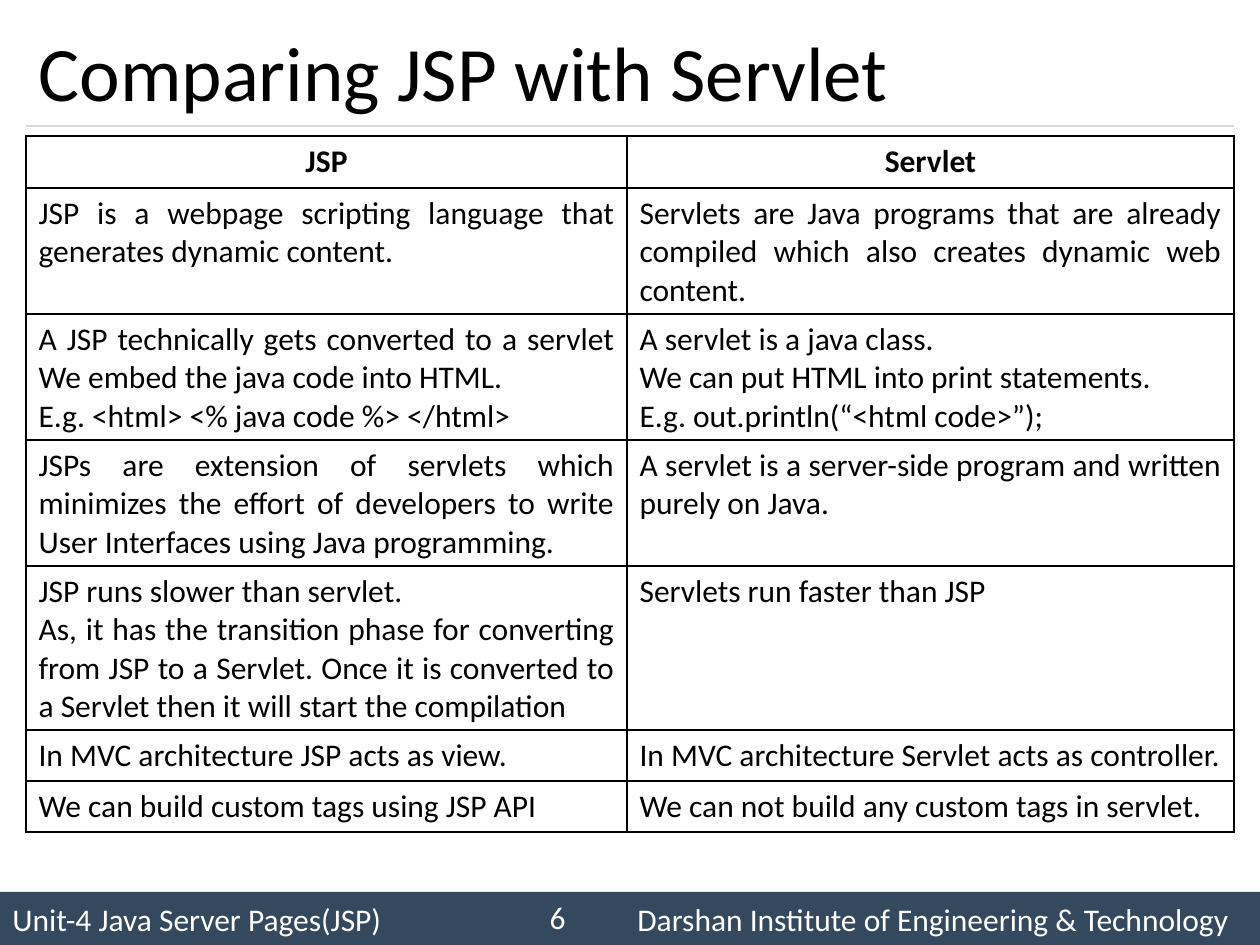
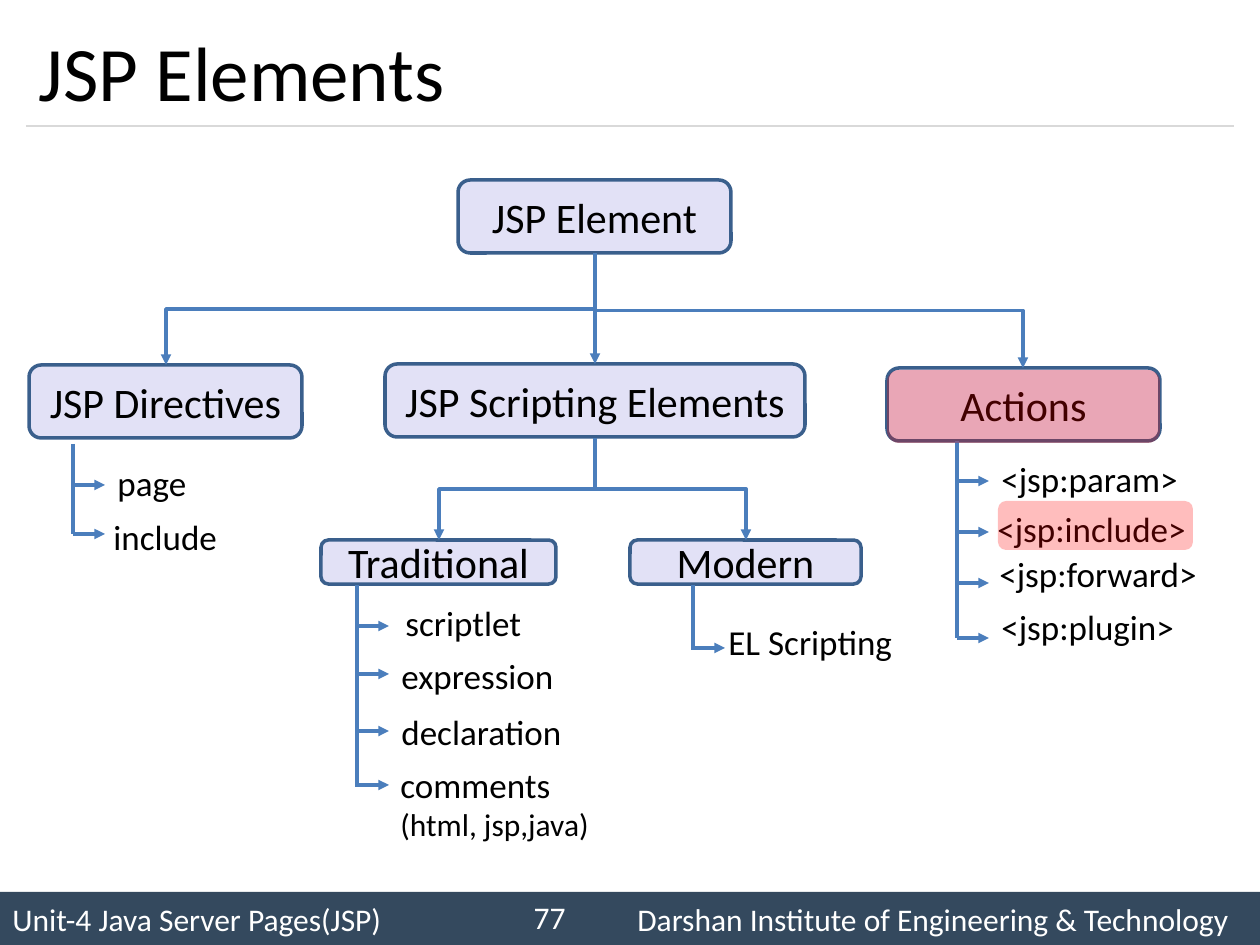
from lxml.etree import SubElement
from pptx import Presentation
from pptx.dml.color import RGBColor as RGB
from pptx.enum.shapes import MSO_CONNECTOR as LINK, MSO_SHAPE as SHAPE
from pptx.enum.text import MSO_ANCHOR as ANCHOR, MSO_AUTO_SIZE as FIT, PP_ALIGN as ALIGN
from pptx.oxml import parse_xml
from pptx.oxml.ns import nsdecls, qn
from pptx.util import Pt

SCALE = 914400 / 126
COLORS = {
    "ink": "000000", "white": "FFFFFF", "band": "34495E", "rule": "D9D9D9",
    "node": "130BB5", "edge": "3A5F8C", "link": "4B7EBC", "mark": "FF0000",
}
LEFT, RIGHT = 26, 1234
TOPIC = "Unit-4 Java Server Pages(JSP)"
SCHOOL = "Darshan Institute of Engineering & Technology"

# Height of each row, then the JSP and Servlet paragraphs
ROWS = [
    (52, ["JSP"], ["Servlet"]),
    (126, ["JSP is a webpage scripting language that generates dynamic content."],
     ["Servlets are Java programs that are already compiled which also creates "
      "dynamic web content."]),
    (126, ["A JSP technically gets converted to a servlet We embed the java code "
           "into HTML.", "E.g. <html> <% java code %> </html>"],
     ["A servlet is a java class.", "We can put HTML into print statements.",
      "E.g. out.println(“<html code>”);"]),
    (126, ["JSPs are extension of servlets which minimizes the effort of developers "
           "to write User Interfaces using Java programming."],
     ["A servlet is a server-side program and written purely on Java."]),
    (164, ["JSP runs slower than servlet.",
           "As, it has the transition phase for converting from JSP to a Servlet. "
           "Once it is converted to a Servlet then it will start the compilation"],
     ["Servlets run faster than JSP"]),
    (51, ["In MVC architecture JSP acts as view."],
     ["In MVC architecture Servlet acts as controller."]),
    (51, ["We can build custom tags using JSP API"],
     ["We can not build any custom tags in servlet."]),
]

NODES = [
    ("JSP Element", 458, 180, 273, 73),
    ("JSP Directives", 29, 365, 273, 73),
    ("JSP Scripting Elements", 385, 364, 420, 73),
    ("Actions", 887, 368, 273, 73),
    ("Traditional", 321, 540, 235, 44),
    ("Modern", 630, 540, 231, 44),
]
# Start and end of each bent arrow
BENDS = [
    (595, 253, 595, 364), (595, 253, 166, 365), (595, 253, 1023, 368),
    (595, 438, 439, 540), (595, 438, 746, 540),
]
# Trunk x, top and bottom; then arrow y, label lines and label box of each leaf
TREES = [
    (73, 444, 534, [
        (485, ["page"], (105, 455, 95, 55)),
        (534, ["include"], (101, 509, 130, 55))]),
    (357, 585, 787, [
        (626, ["scriptlet"], (393, 595, 142, 55)),
        (674, ["expression"], (389, 648, 179, 55)),
        (731, ["declaration"], (389, 704, 188, 55)),
        (785, ["comments", "(html, jsp,java)"], (388, 757, 215, 93))]),
    (693, 585, 650, [
        (648, ["EL Scripting"], (716, 614, 192, 55))]),
    (957, 441, 638, [
        (481, ["<jsp:param>"], (989, 451, 204, 55)),
        (532, ["<jsp:include>"], (985, 501, 215, 55)),
        (583, ["<jsp:forward>"], (987, 546, 224, 55)),
        (638, ["<jsp:plugin>"], (989, 599, 200, 55))]),
]
MARKS = [(887, 370, 273, 73), (998, 501, 195, 49)]


def px(*vals):
    return [round(val * SCALE) for val in vals]


def rgb(name):
    return RGB.from_string(COLORS[name])


def write(frame, lines, sizes=(18,), color="ink", align=ALIGN.LEFT, bold=False):
    """Fill a frame; the last size serves all further lines."""
    for num, line in enumerate(lines):
        para = frame.paragraphs[0] if num == 0 else frame.add_paragraph()
        para.alignment = align
        run = para.add_run()
        run.text = line
        style = {"name": "Calibri", "bold": bold,
                 "size": Pt(sizes[min(num, len(sizes) - 1)])}
        for key, val in style.items():
            setattr(run.font, key, val)
        run.font.color.rgb = rgb(color)


def add_box(slide, kind, box, fill, alpha=100, edge=None):
    shape = slide.shapes.add_shape(kind, *px(*box))
    shape.shadow.inherit = False
    shape.fill.solid()
    shape.fill.fore_color.rgb = rgb(fill)
    if alpha < 100:
        tint = shape._element.spPr.find(".//" + qn("a:srgbClr"))
        SubElement(tint, qn("a:alpha"), val=str(alpha * 1000))
    if edge:
        shape.line.color.rgb = rgb(edge)
        shape.line.width = Pt(2)
    else:
        shape.line.fill.background()
    shape.text_frame.vertical_anchor = ANCHOR.MIDDLE
    return shape


def add_label(slide, lines, box, sizes=(20, 18), **style):
    label = slide.shapes.add_textbox(*px(*box))
    label.text_frame.word_wrap = False
    write(label.text_frame, lines, sizes, **style)
    return label.text_frame


def add_line(slide, ends, kind=LINK.STRAIGHT, color="link", width=2, arrow=False):
    line = slide.shapes.add_connector(kind, *px(*ends))
    line.line.color.rgb = rgb(color)
    line.line.width = Pt(width)
    props = line._element.spPr
    if arrow:
        SubElement(props.find(qn("a:ln")), qn("a:tailEnd"), type="triangle")
    SubElement(props, qn("a:effectLst"))
    return line


def add_bend(slide, x1, y1, x2, y2):
    """Arrow that leaves downwards, turns halfway and ends downwards."""
    wide, high = y2 - y1, abs(x2 - x1)
    left, top = (x1 + x2 - wide) / 2, (y1 + y2 - high) / 2
    bend = add_line(slide, (left, top, left + wide, top + high), LINK.ELBOW, arrow=True)
    frame = bend._element.spPr.find(qn("a:xfrm"))
    turn = 270 if x2 > x1 else 90
    frame.set("rot", str(turn * 60000))
    if x2 > x1:
        frame.set("flipH", "1")


def add_tree(slide, x, top, bottom, leaves):
    add_line(slide, (x, top, x, bottom))
    for y, lines, box in leaves:
        add_line(slide, (x, y, x + 32, y), arrow=True)
        frame = add_label(slide, lines, box)
        frame.auto_size = FIT.SHAPE_TO_FIT_TEXT


def add_edges(cell):
    props = cell._tc.get_or_add_tcPr()
    for num, side in enumerate("LRTB"):
        props.insert(num, parse_xml(
            f'<a:ln{side} {nsdecls("a")} w="12700"><a:solidFill>'
            f'<a:srgbClr val="{COLORS["ink"]}"/></a:solidFill></a:ln{side}>'))


def add_row(slide, top, high, texts, head):
    """One table row that stands as its own table."""
    table = slide.shapes.add_table(1, 2, *px(LEFT, top, RIGHT - LEFT, high)).table
    table.first_row = table.horz_banding = False
    for col, wide in zip(table.columns, px(601, 607)):
        col.width = wide
    for cell, lines in zip(table.rows[0].cells, texts):
        cell.fill.background()
        add_edges(cell)
        write(cell.text_frame, lines, bold=head,
              align=ALIGN.CENTER if head else ALIGN.JUSTIFY)


def add_page(deck, title, number):
    """New slide with its title, rule, footer band and page number."""
    slide = deck.slides.add_slide(deck.slide_layouts[5])
    band = add_box(slide, SHAPE.RECTANGLE, (0, 892, 1260, 53), "band")
    write(band.text_frame, [f"{TOPIC}\t{SCHOOL}"], color="white")
    props = band.text_frame.paragraphs[0]._p.get_or_add_pPr()
    tabs = SubElement(props, qn("a:tabLst"))
    SubElement(tabs, qn("a:tab"), pos=str(px(625)[0]), algn="l")
    add_line(slide, (LEFT, 126, RIGHT, 126), color="rule", width=0.75)

    head = slide.shapes.title
    spot = px(LEFT, 15, RIGHT - LEFT, 111)
    for key, val in zip(("left", "top", "width", "height"), spot):
        setattr(head, key, val)
    head.text_frame.vertical_anchor = ANCHOR.MIDDLE
    write(head.text_frame, [title], (44,))

    frame = add_label(slide, [number], (494, 892, 84, 50), (18,),
                      color="white", align=ALIGN.RIGHT)
    frame.word_wrap = True
    frame.vertical_anchor = ANCHOR.MIDDLE
    return slide


def compare(deck):
    slide = add_page(deck, "Comparing JSP with Servlet", "6")
    top = 136
    for num, (high, *texts) in enumerate(ROWS):
        add_row(slide, top, high, texts, head=num == 0)
        top += high


def chart_elements(deck):
    slide = add_page(deck, "JSP Elements", "77")
    for name, *box in NODES:
        node = add_box(slide, SHAPE.ROUNDED_RECTANGLE, box, "node", 12, "edge")
        node.text_frame.word_wrap = False
        write(node.text_frame, [name], (24,), align=ALIGN.CENTER)
    for ends in BENDS:
        add_bend(slide, *ends)
    for tree in TREES:
        add_tree(slide, *tree)
    for box in MARKS:
        add_box(slide, SHAPE.ROUNDED_RECTANGLE, box, "mark", 26)


def main():
    deck = Presentation()
    deck.slide_width, deck.slide_height = px(1260, 945)
    compare(deck)
    chart_elements(deck)
    deck.save("out.pptx")


if __name__ == "__main__":
    main()
